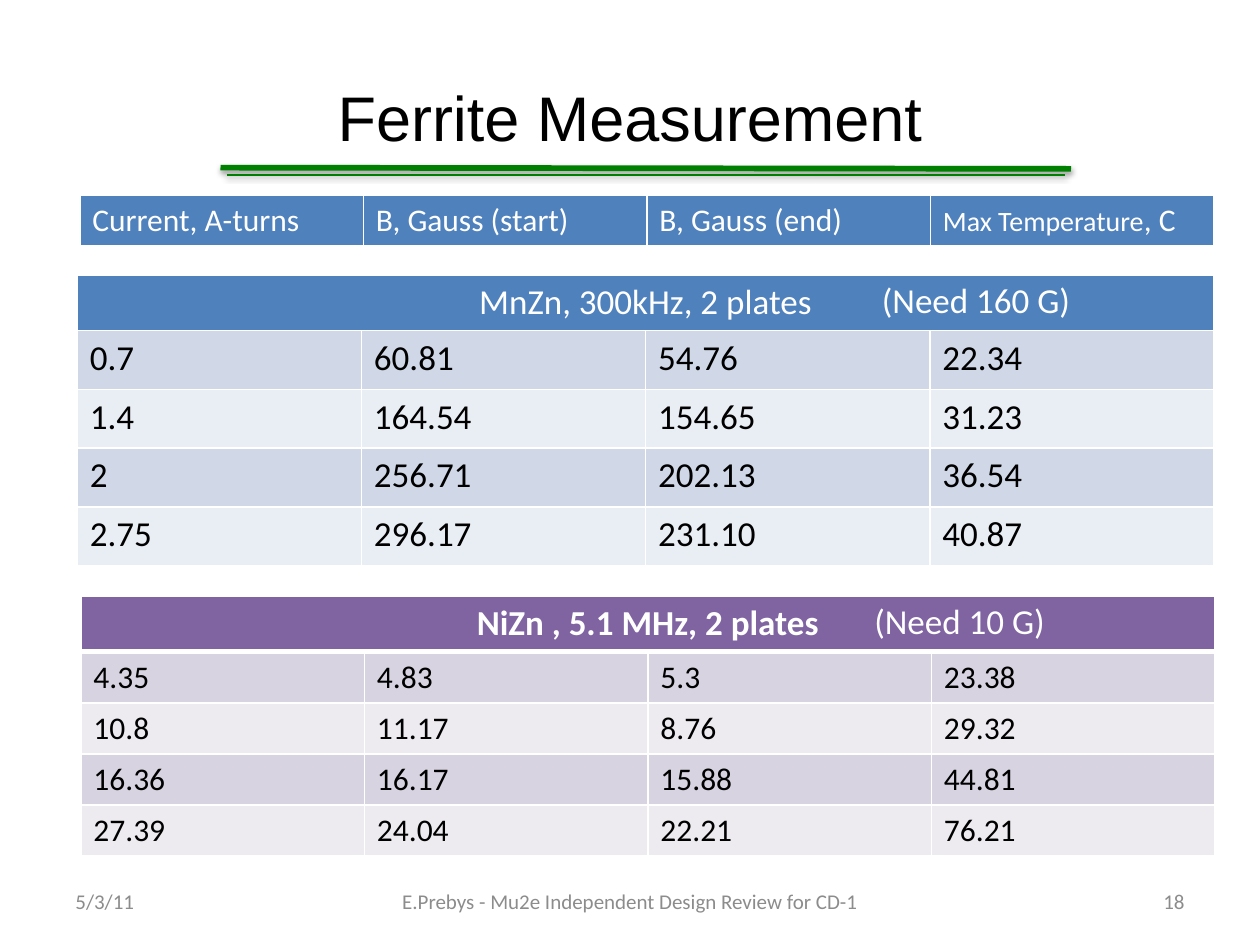
"""Build the ferrite measurement slide with its three tables."""
from dataclasses import dataclass

from lxml.etree import SubElement
from pptx import Presentation
from pptx.dml.color import RGBColor
from pptx.enum.shapes import MSO_CONNECTOR
from pptx.enum.text import MSO_ANCHOR, PP_ALIGN
from pptx.oxml.ns import qn
from pptx.util import Pt

COLORS = {
    "white": "FFFFFF", "black": "000000", "grey": "8C8C8C", "green": "008000",
    "blue": "4F81BD", "blue_dark": "D0D8E8", "blue_light": "E9EDF4",
    "purple": "8064A2", "purple_dark": "D8D3E0", "purple_light": "EDEAF0",
}


@dataclass
class Rule:
    x1: float
    y1: float
    x2: float
    y2: float
    width: float


@dataclass
class Label:
    text: str
    left: float
    top: float
    width: float
    height: float
    size: float
    color: str
    align: PP_ALIGN = PP_ALIGN.LEFT
    anchor: MSO_ANCHOR = MSO_ANCHOR.TOP


@dataclass
class Grid:
    left: float
    top: float
    col_width: float
    head_height: float
    row_height: float
    head: list
    body: list
    color: str
    body_size: float = 18
    bold: bool = False
    head_rule: float = 1


RULES = [
    Rule(126, 95.8, 612, 96.5, 3.25),
    Rule(129.6, 100, 608.4, 100, 1),
]

GRIDS = [
    Grid(45.6, 111.6, 162, 29.5, 29.5,
         ["Current, A-turns", "B, Gauss (start)", "B, Gauss (end)", "Max Temperature"],
         [], "blue", head_rule=3),
    Grid(44.1, 157.2, 162.4, 30.4, 33.6, ["MnZn, 300kHz, 2 plates"],
         [["0.7", "60.81", "54.76", "22.34"],
          ["1.4", "164.54", "154.65", "31.23"],
          ["2", "256.71", "202.13", "36.54"],
          ["2.75", "296.17", "231.10", "40.87"]], "blue", body_size=20),
    Grid(46.2, 340.7, 162, 29.5, 29.2, ["NiZn , 5.1 MHz, 2 plates"],
         [["4.35", "4.83", "5.3", "23.38"],
          ["10.8", "11.17", "8.76", "29.32"],
          ["16.36", "16.17", "15.88", "44.81"],
          ["27.39", "24.04", "22.21", "76.21"]], "purple", bold=True, head_rule=3),
]

FOOTER = {"top": 500.4, "height": 28.8, "size": 12, "color": "grey",
          "anchor": MSO_ANCHOR.MIDDLE}
NEED = {"width": 159, "height": 31.5, "size": 20, "color": "white"}
LABELS = [
    Label("5/3/11", left=36, width=168, **FOOTER),
    Label("E.Prebys - Mu2e Independent Design Review for CD-1", left=204, width=312,
          align=PP_ALIGN.CENTER, **FOOTER),
    Label("18", left=516, width=168, align=PP_ALIGN.RIGHT, **FOOTER),
    Label("(Need 160 G)", left=496.8, top=155.5, **NEED),
    Label("(Need 10 G)", left=492.5, top=339.1, **NEED),
]


def rgb(name: str) -> RGBColor:
    """Return the named colour."""
    return RGBColor.from_string(COLORS[name])


def style(font, size: float, color: str, bold: bool = False, name: str = "Calibri") -> None:
    """Set the face, size, weight and colour of a font."""
    font.name, font.size, font.bold = name, Pt(size), bold
    font.color.rgb = rgb(color)


def draw_rule(slide, rule: Rule) -> None:
    """Draw a green line with a soft shadow."""
    ends = (Pt(v) for v in (rule.x1, rule.y1, rule.x2, rule.y2))
    sp = slide.shapes.add_connector(MSO_CONNECTOR.STRAIGHT, *ends)
    sp.line.width = Pt(rule.width)
    sp.line.color.rgb = rgb("green")
    effects = SubElement(sp._element.spPr, qn("a:effectLst"))
    shadow = SubElement(effects, qn("a:outerShdw"), blurRad=str(Pt(3.1)),
                        dist=str(Pt(1.6)), dir="5400000", rotWithShape="0")
    clr = SubElement(shadow, qn("a:srgbClr"), val=COLORS["black"])
    SubElement(clr, qn("a:alpha"), val="38000")


def draw_label(slide, label: Label) -> None:
    """Draw a text box."""
    box = (Pt(v) for v in (label.left, label.top, label.width, label.height))
    tf = slide.shapes.add_textbox(*box).text_frame
    tf.word_wrap, tf.vertical_anchor = True, label.anchor
    p = tf.paragraphs[0]
    p.text, p.alignment = label.text, label.align
    style(p.font, label.size, label.color)


def format_cell(cell, fill: str, top: float, bottom: float) -> None:
    """Give a cell white borders and a solid fill."""
    tc_pr = cell._tc.get_or_add_tcPr()
    for side, width in (("L", 1), ("R", 1), ("T", top), ("B", bottom)):
        ln = SubElement(tc_pr, qn(f"a:ln{side}"), w=str(Pt(width)))
        solid = SubElement(ln, qn("a:solidFill"))
        SubElement(solid, qn("a:srgbClr"), val=COLORS["white"])
    cell.fill.solid()
    cell.fill.fore_color.rgb = rgb(fill)


def draw_grid(slide, grid: Grid):
    """Draw a table whose single heading, if any, spans all columns."""
    n_rows, n_cols = len(grid.body) + 1, 4
    height = grid.head_height + len(grid.body) * grid.row_height
    table = slide.shapes.add_table(
        n_rows, n_cols, Pt(grid.left), Pt(grid.top),
        Pt(n_cols * grid.col_width), Pt(height)).table
    table.first_row = table.horz_banding = False
    for col in table.columns:
        col.width = Pt(grid.col_width)
    spans = len(grid.head) == 1
    head = grid.head + [""] * (n_cols - len(grid.head))
    for i, values in enumerate([head] + grid.body):
        table.rows[i].height = Pt(grid.row_height if i else grid.head_height)
        band = grid.color + ("_dark" if i % 2 else "_light") if i else grid.color
        for j, value in enumerate(values):
            cell = table.cell(i, j)
            format_cell(cell, band, grid.head_rule if i == 1 else 1,
                        1 if i else grid.head_rule)
            p = cell.text_frame.paragraphs[0]
            p.text = value
            if i:
                style(p.font, grid.body_size, "black")
            else:
                style(p.font, 20 if spans else 18, "white", grid.bold)
    if spans:
        table.cell(0, 0).merge(table.cell(0, n_cols - 1))
        table.cell(0, 0).text_frame.paragraphs[0].alignment = PP_ALIGN.CENTER
    return table


def main() -> None:
    """Build and save the slide."""
    prs = Presentation()
    prs.slide_width, prs.slide_height = Pt(720), Pt(540)
    s = prs.slides.add_slide(prs.slide_layouts[5])
    for rule in RULES:
        draw_rule(s, rule)

    title = s.shapes.title
    title.left, title.top, title.width, title.height = Pt(36), Pt(21.6), Pt(648), Pt(90)
    tf = title.text_frame
    tf.text, tf.vertical_anchor = "Ferrite Measurement", MSO_ANCHOR.MIDDLE
    tf.paragraphs[0].alignment = PP_ALIGN.CENTER
    style(tf.paragraphs[0].font, 36, "black", name="Arial")

    tables = [draw_grid(s, grid) for grid in GRIDS]
    p = tables[0].cell(0, 3).text_frame.paragraphs[0]
    p.runs[0].font.size = Pt(16)
    r = p.add_run()
    r.text = ", C"
    style(r.font, 18, "white")

    for label in LABELS:
        draw_label(s, label)
    prs.save("out.pptx")


if __name__ == "__main__":
    main()
